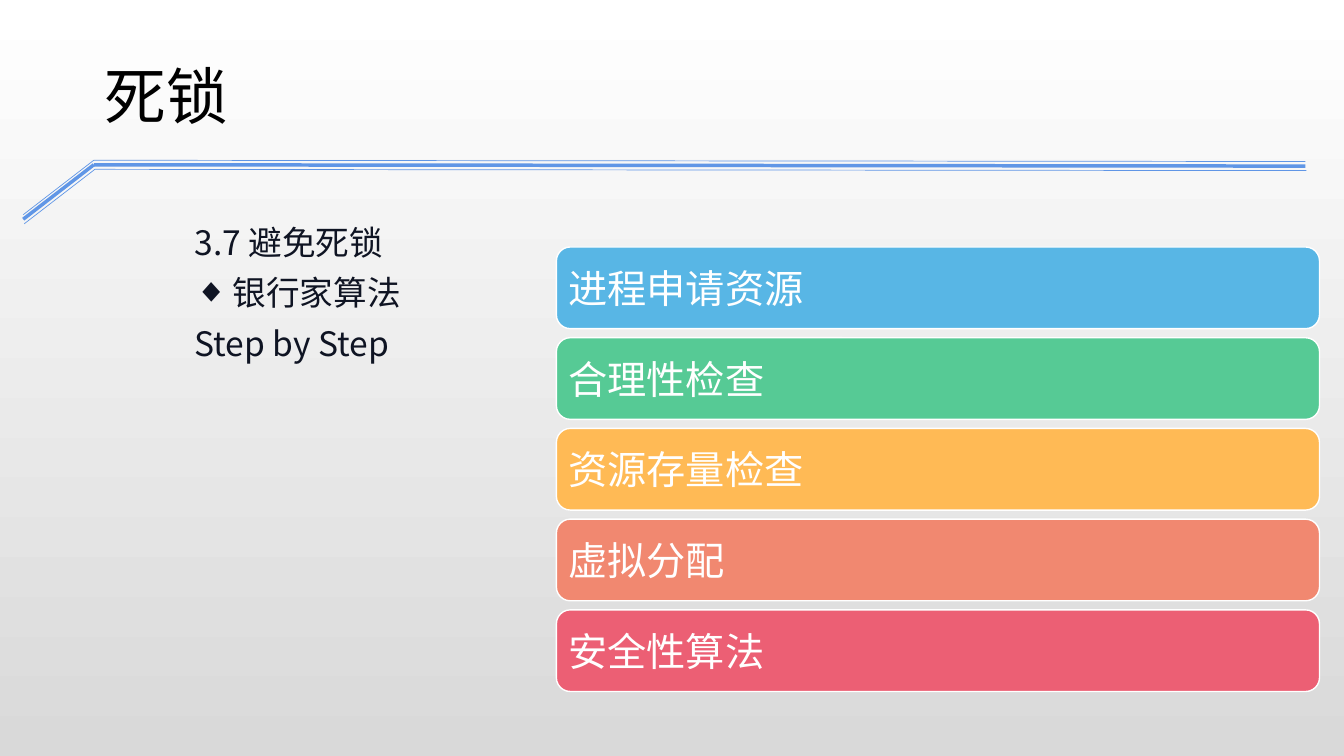
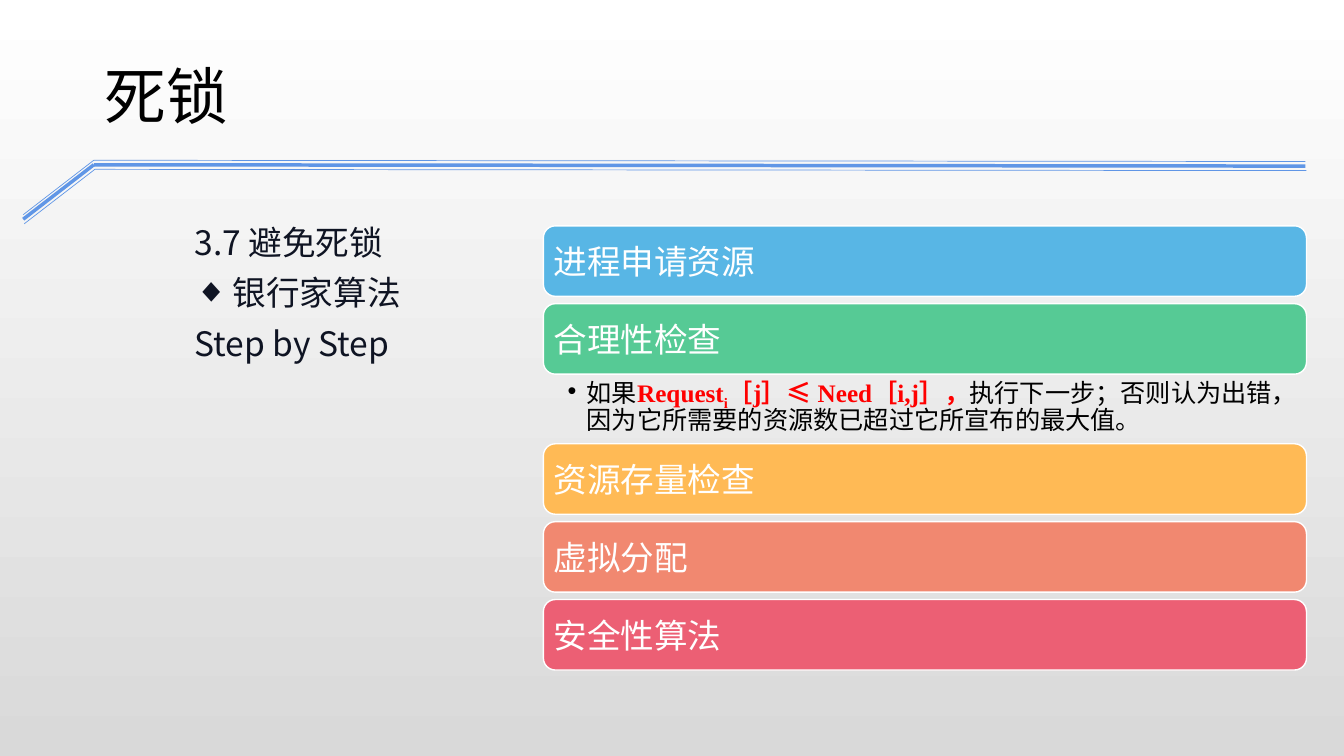
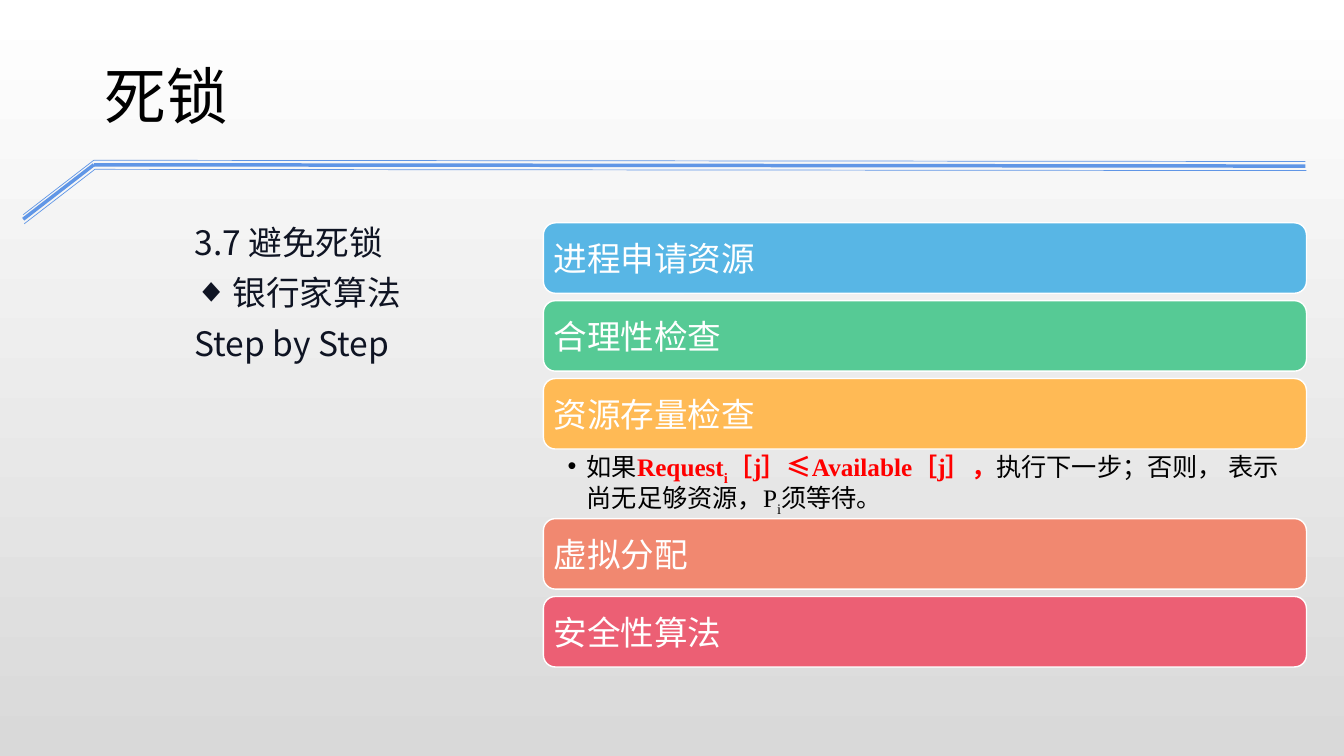
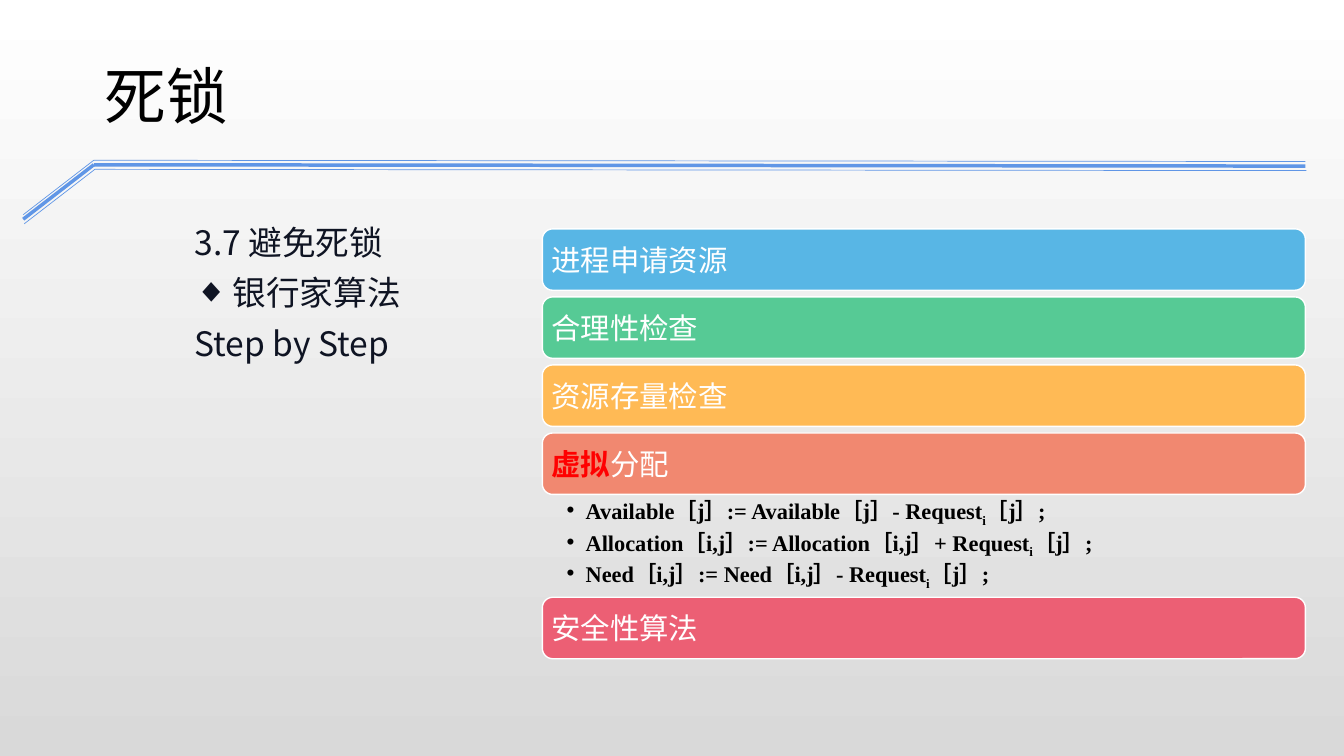
from itertools import pairwise

from lxml.etree import SubElement
from pptx import Presentation
from pptx.dml.color import RGBColor
from pptx.enum.shapes import MSO_CONNECTOR, MSO_SHAPE
from pptx.enum.text import MSO_ANCHOR as Anchor, PP_ALIGN as Align
from pptx.oxml.ns import qn
from pptx.util import Emu, Inches, Pt

COLOURS = {
    "top": "FFFFFF", "bottom": "D9D9D9", "rail": "6096E6",
    "black": "000000", "ink": "0F1423", "white": "FFFFFF", "red": "FF0000",
    "blue": "58B6E5", "green": "56CA95", "amber": "FFBA55",
    "coral": "F18870", "rose": "EC5F74",
}
RGB = {name: RGBColor.from_string(value) for name, value in COLOURS.items()}
CJK, SANS, SERIF = "Noto Sans CJK JP", "Arial", "Times New Roman"

# Places and sizes are percentages of the slide's width and height.
WIDTH, HEIGHT = Inches(13.333), Inches(7.5)
TITLE_BOX = (7.05, 8.4, 71.4, 21.07)
OUTLINE_BOX = (13.73, 27.33, 83.5, 10.67)
BAR_WIDTH = 56.78
RAIL_BEND = [(1.73, 28.4), (6.98, 21.2), (97.13, 21.37)]
RAILS = [(0, 0, 0.5), (0, 0.6, 2.5), (0.08, 1.2, 0.5)]  # right, down, points
CORNER = 0.17

OUTLINE = [("3.7 避免死锁", None), ("银行家算法", "◆"), ("Step by Step", None)]
STEPS = [("进程申请资源", "blue"), ("合理性检查", "green"), ("资源存量检查", "amber"),
         ("虚拟分配", "coral"), ("安全性算法", "rose")]

# In a note, the letters between two underscores are a subscript.
SLIDES = [
    dict(left=41.4, top=32.67, bar=10.8, gap=1.2, size=28, inset=0.12),
    dict(left=40.43, top=29.87, bar=9.33, gap=0.97, size=24, inset=0.1,
         open="合理性检查", note_height=9.2, note_size=18, note_right=0.19,
         notes=[[("如果", "black", False),
                 ("Request_i_［j］≤ Need［i,j］，", "red", True),
                 ("执行下一步；否则认为出错，因为它所需要的资源数已超过它所宣布的最大值。",
                  "black", False)]]),
    dict(left=40.43, top=29.47, bar=9.33, gap=0.97, size=24, inset=0.1,
         open="资源存量检查", note_height=9.2, note_size=18, note_right=0.19,
         notes=[[("如果", "black", False),
                 ("Request_i_［j］≤Available［j］，", "red", True),
                 ("执行下一步；否则， 表示尚无足够资源，P_i_须等待。", "black", False)]]),
    dict(left=40.35, top=30.27, bar=8.13, gap=0.87, size=21, inset=0.09,
         open="虚拟分配", note_height=13.6, note_size=16, note_right=0.16,
         marked="虚拟",
         notes=[[(formula, "black", True)] for formula in (
             "Available［j］:= Available［j］- Request_i_［j］;",
             "Allocation［i,j］:= Allocation［i,j］+ Request_i_［j］;",
             "Need［i,j］:= Need［i,j］- Request_i_［j］;")]),
]


def place(left, top, width, height):
    """Turn percentages of the slide into lengths."""
    return [Emu(round(share * whole / 100)) for share, whole in
            ((left, WIDTH), (top, HEIGHT), (width, WIDTH), (height, HEIGHT))]


def write(paragraph, pieces, size, face, bullet=None, indent=0):
    """Fill a paragraph with (text, colour, bold) pieces and an optional bullet."""
    for text, colour, bold in pieces:
        for position, part in enumerate(text.split("_")):
            run = paragraph.add_run()
            run.text = part
            run.font.size, run.font.name, run.font.bold = Pt(size), face, bold
            run.font.color.rgb = RGB[colour]
            properties = run.font._element
            SubElement(properties, qn("a:ea")).set("typeface", CJK)
            if position % 2:
                properties.set("baseline", "-25000")
    if bullet:
        layout = paragraph._p.get_or_add_pPr()
        layout.set("marL", str(Inches(indent)))
        layout.set("indent", str(-Inches(indent)))
        SubElement(layout, qn("a:buFont")).set("typeface", SANS)
        SubElement(layout, qn("a:buChar")).set("char", bullet)


prs = Presentation()
prs.slide_width, prs.slide_height = WIDTH, HEIGHT

backdrop = prs.slide_master.background.fill
backdrop.gradient()
backdrop.gradient_angle = 270
for stop, tone, position in zip(backdrop.gradient_stops, ("top", "bottom"), (0, 1)):
    stop.color.rgb = RGB[tone]
    stop.position = position

for content in SLIDES:
    slide = prs.slides.add_slide(prs.slide_layouts[6])
    shapes = slide.shapes

    for right, down, weight in RAILS:
        for (x1, y1), (x2, y2) in pairwise(RAIL_BEND):
            ends = place(x1 + right, y1 + down, x2 + right, y2 + down)
            rail = shapes.add_connector(MSO_CONNECTOR.STRAIGHT, *ends)
            rail.line.color.rgb = RGB["rail"]
            rail.line.width = Pt(weight)
            SubElement(rail._element.spPr, qn("a:effectLst"))

    outline = shapes.add_textbox(*place(*OUTLINE_BOX)).text_frame
    outline.word_wrap = True
    for row, (text, bullet) in enumerate(OUTLINE):
        line = outline.add_paragraph() if row else outline.paragraphs[0]
        line.alignment, line.line_spacing = Align.JUSTIFY, 1.25
        write(line, [(text, "ink", False)], 24, CJK, bullet, 0.38)

    title = shapes.add_textbox(*place(*TITLE_BOX)).text_frame
    title.word_wrap = True
    title.paragraphs[0].line_spacing = 0.87
    write(title.paragraphs[0], [("死锁", "black", False)], 44, CJK)

    left, top, bar_height = content["left"], content["top"], content["bar"]
    for step, colour in STEPS:
        bar = shapes.add_shape(MSO_SHAPE.ROUNDED_RECTANGLE,
                               *place(left, top, BAR_WIDTH, bar_height))
        bar.shadow.inherit = False
        bar.adjustments[0] = CORNER
        bar.fill.solid()
        bar.fill.fore_color.rgb = RGB[colour]
        bar.line.color.rgb = RGB["white"]
        bar.line.width = Pt(1)
        label = bar.text_frame
        label.word_wrap, label.vertical_anchor = True, Anchor.MIDDLE
        # The rounded corners already push the text inwards by 0.29 of their radius.
        margin = Inches(content["inset"]) - round(0.29 * CORNER * bar.height)
        label.margin_left = label.margin_right = margin
        label.margin_top = label.margin_bottom = margin
        label.paragraphs[0].alignment = Align.LEFT
        marked = content.get("marked", "")
        pieces = [(step, "white", False)]
        if marked and step.startswith(marked):
            pieces = [(marked, "red", True), (step.removeprefix(marked), "white", False)]
        write(label.paragraphs[0], pieces, content["size"], SANS)
        top += bar_height

        if step != content.get("open"):
            top += content["gap"]
            continue
        note = shapes.add_textbox(
            *place(left, top, BAR_WIDTH, content["note_height"])).text_frame
        note.word_wrap = True
        note.margin_left, note.margin_right = Inches(0.24), Inches(content["note_right"])
        note.margin_top = note.margin_bottom = Inches(0.03)
        for row, pieces in enumerate(content["notes"]):
            line = note.add_paragraph() if row else note.paragraphs[0]
            line.line_spacing, line.space_after = 0.9, Pt(3)
            write(line, pieces, content["note_size"], SERIF, "•", 0.19)
        top += content["note_height"]

prs.save("out.pptx")
